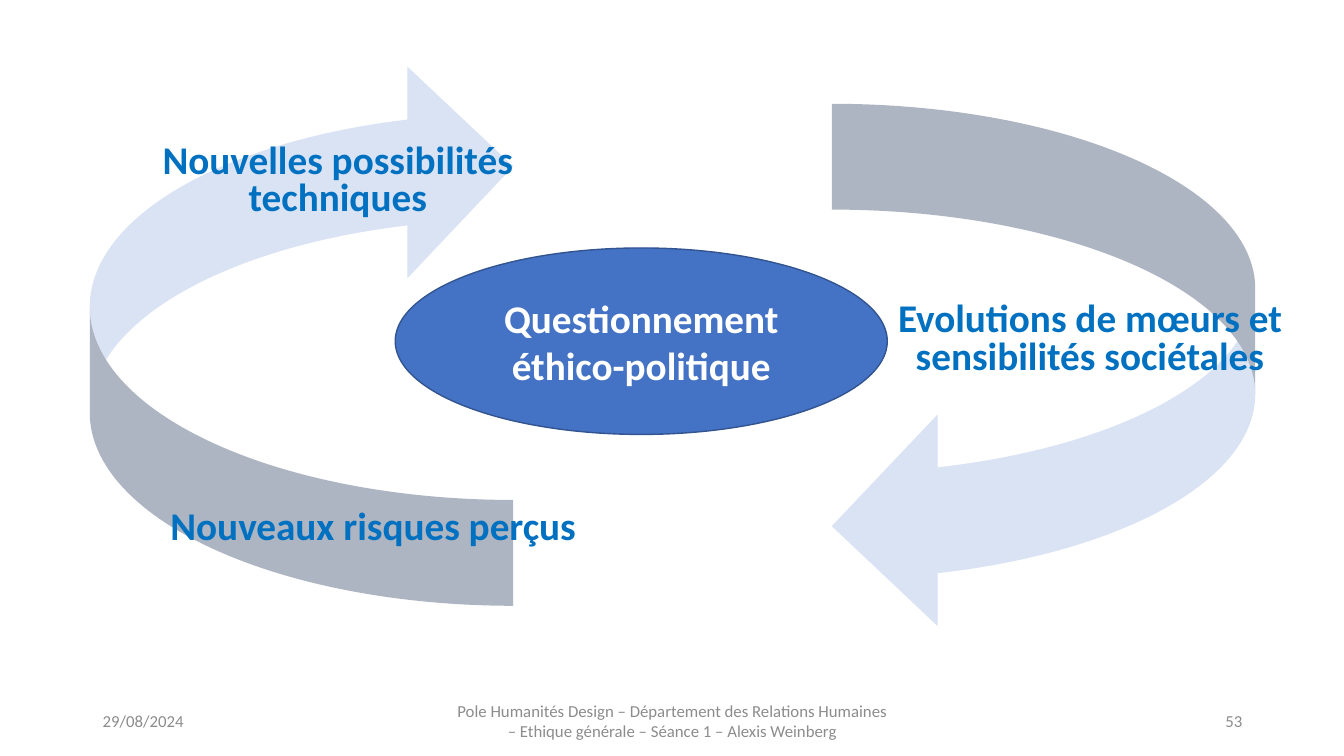
from pptx import Presentation
from pptx.dml.color import RGBColor
from pptx.enum.shapes import MSO_SHAPE
from pptx.enum.text import MSO_ANCHOR, PP_ALIGN
from pptx.util import Inches, Pt


def color(value):
    """Turn a hex string into a colour."""
    return RGBColor.from_string(value)


def write(shape, text, size=28, ink="0070C0", bold=True, align=PP_ALIGN.CENTER,
          anchor=MSO_ANCHOR.TOP, spacing=1.0):
    """Put one formatted paragraph into a shape."""
    frame = shape.text_frame
    frame.word_wrap = True
    frame.vertical_anchor = anchor
    para = frame.paragraphs[0]
    para.alignment = align
    para.line_spacing = spacing
    span = para.add_run()
    span.text = text
    span.font.name = "Calibri"
    span.font.size = Pt(size)
    span.font.bold = bold
    span.font.color.rgb = color(ink)


def add_text(page, box, text, **style):
    """Add a text box with formatted text."""
    write(page.shapes.add_textbox(*map(Inches, box)), text, **style)


def add_figure(page, kind, box, fill, line=None):
    """Add a filled preset shape, outlined only if a line colour is given."""
    shape = page.shapes.add_shape(kind, *map(Inches, box))
    shape.shadow.inherit = False
    shape.fill.solid()
    shape.fill.fore_color.rgb = color(fill)
    if line:
        shape.line.color.rgb = color(line)
        shape.line.width = Pt(1)
    else:
        shape.line.fill.background()
    return shape


def add_cycle(page, left, top):
    """Draw the two curved arrows, their labels and the central question."""
    arrows = [(0, 0, 5.41, 180), (7.36, 0.43, 5.24, 0)]
    for across, down, height, turn in arrows:
        box = (left + across, top + down, 4.2, height)
        arrow = add_figure(page, MSO_SHAPE.CURVED_LEFT_ARROW, box, "DAE3F3")
        arrow.rotation = turn
    labels = [
        (0.02, 0.78, 4.88, "Nouvelles possibilités techniques"),
        (7.77, 2.35, 4.3, "Evolutions de mœurs et sensibilités sociétales"),
        (-0.15, 4.41, 5.92, "Nouveaux risques perçus"),
    ]
    for across, down, width, text in labels:
        add_text(page, (left + across, top + down, width, 0.87), text, spacing=0.8)
    center = add_figure(page, MSO_SHAPE.OVAL, (left + 3.03, top + 1.86, 4.88, 1.85),
                        "4472C4", "325491")
    write(center, "Questionnement éthico-politique", ink="FFFFFF",
          anchor=MSO_ANCHOR.MIDDLE)


def add_footer(page, left, top):
    """Place the date, the course name and the page number on one row."""
    course = ("Pole Humanités Design – Département des Relations Humaines "
              "– Ethique générale – Séance 1 – Alexis Weinberg")
    parts = [
        (0, 3, "29/08/2024", PP_ALIGN.LEFT),
        (3.5, 4.5, course, PP_ALIGN.CENTER),
        (8.5, 3, "53", PP_ALIGN.RIGHT),
    ]
    for across, width, text, align in parts:
        add_text(page, (left + across, top, width, 0.4), text, size=12, ink="8C8C8C",
                 bold=False, align=align, anchor=MSO_ANCHOR.MIDDLE)


def main():
    """Build and save the deck."""
    deck = Presentation()
    deck.slide_width = Inches(13.33)
    deck.slide_height = Inches(7.5)
    page = deck.slides.add_slide(deck.slide_layouts[6])
    add_cycle(page, 0.89, 0.6)
    add_footer(page, 0.92, 6.95)
    deck.save("out.pptx")


if __name__ == "__main__":
    main()
